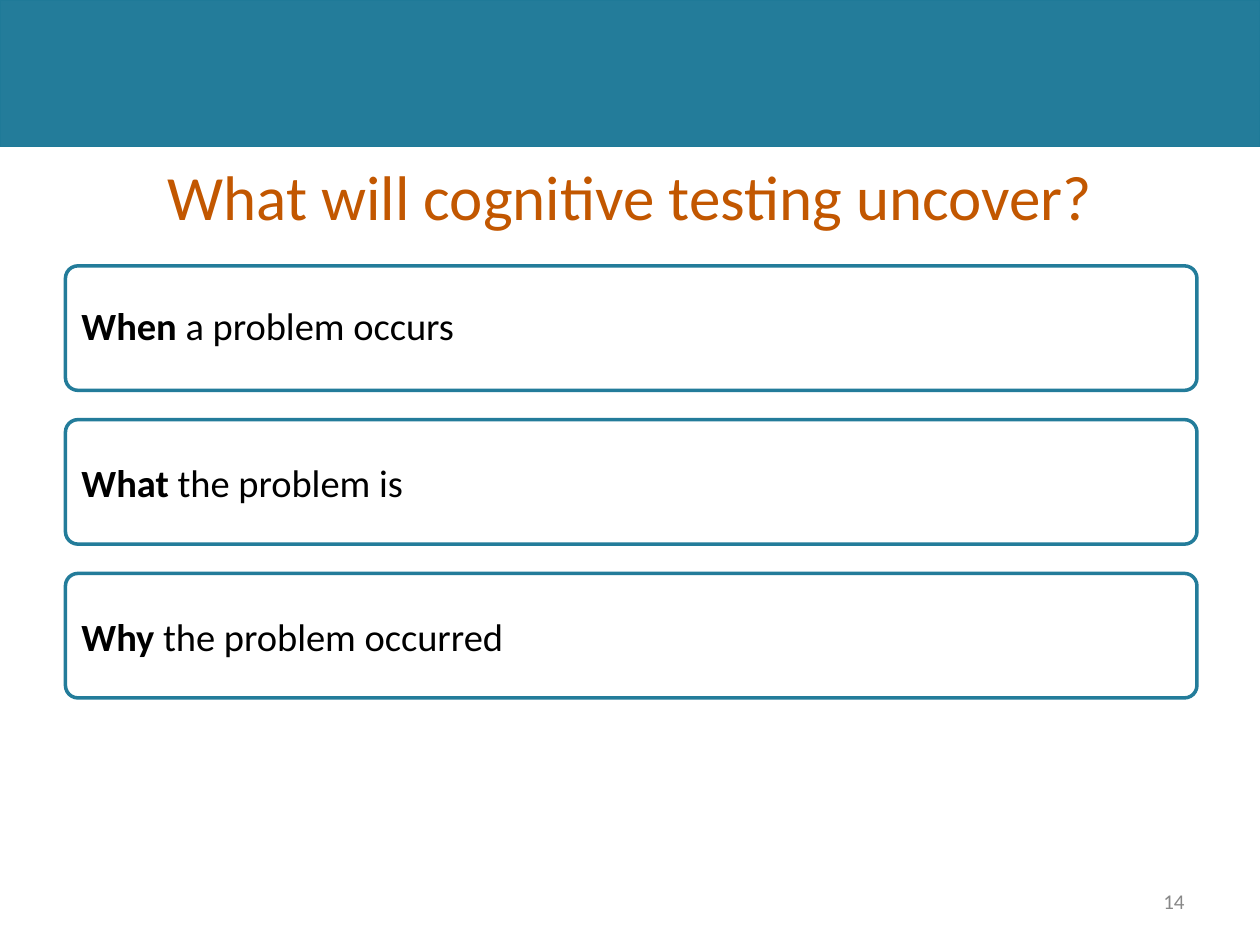
from dataclasses import dataclass

from pptx import Presentation
from pptx.dml.color import RGBColor as RGB
from pptx.enum.shapes import MSO_SHAPE as Shape
from pptx.enum.text import MSO_ANCHOR as Anchor, PP_ALIGN as Align
from pptx.util import Cm, Pt


@dataclass(frozen=True)
class Theme:
    """Colours, font and type sizes of the slide."""
    font: str = "Calibri"
    teal: RGB = RGB(0x23, 0x7C, 0x9A)
    teal_edge: RGB = RGB(0x1F, 0x7A, 0x98)
    orange: RGB = RGB(0xC2, 0x57, 0x00)
    grey: RGB = RGB(0x88, 0x88, 0x88)
    black: RGB = RGB(0, 0, 0)
    white: RGB = RGB(0xFF, 0xFF, 0xFF)
    title: int = 36
    body: int = 22
    number: int = 12


@dataclass(frozen=True)
class Box:
    """A region of the slide in centimetres."""
    x: float
    y: float
    w: float
    h: float

    def emu(self):
        """Return the position and size as lengths."""
        return Cm(self.x), Cm(self.y), Cm(self.w), Cm(self.h)


THEME = Theme()
CARDS = [
    ("When", " a problem occurs", 0.9),
    ("What", " the problem is", 1.0),
    ("Why", " the problem occurred", 1.0),
]


def style_run(r, size, color, bold=False):
    """Apply the theme font to a run."""
    r.font.name = THEME.font
    r.font.size = Pt(size)
    r.font.bold = bold
    r.font.color.rgb = color


def add_panel(s, box, kind, fill, line, width):
    """Add a flat filled shape with an outline."""
    sp = s.shapes.add_shape(kind, *box.emu())
    sp.shadow.inherit = False
    sp.fill.solid()
    sp.fill.fore_color.rgb = fill
    sp.line.color.rgb = line
    sp.line.width = Pt(width)
    return sp


def add_label(s, box, text, size, color, align):
    """Add a single-paragraph text box centred vertically."""
    tf = s.shapes.add_textbox(*box.emu()).text_frame
    tf.word_wrap = True
    tf.vertical_anchor = Anchor.MIDDLE
    p = tf.paragraphs[0]
    p.text = text
    p.alignment = align
    style_run(p.runs[0], size, color)


def add_card(s, box, lead, rest, spacing):
    """Add a rounded card whose text starts with a bold word."""
    sp = add_panel(s, box, Shape.ROUNDED_RECTANGLE, THEME.white, THEME.teal, 2)
    sp.adjustments[0] = 0.1
    tf = sp.text_frame
    tf.word_wrap = True
    tf.vertical_anchor = Anchor.MIDDLE
    p = tf.paragraphs[0]
    p.alignment = Align.LEFT
    p.line_spacing = spacing
    for text, bold in ((lead, True), (rest, False)):
        r = p.add_run()
        r.text = text
        style_run(r, THEME.body, THEME.black, bold)


def add_cards(s, box, cards, gap):
    """Stack equal cards down the box."""
    height = (box.h - gap * (len(cards) - 1)) / len(cards)
    for i, card in enumerate(cards):
        add_card(s, Box(box.x, box.y + i * (height + gap), box.w, height), *card)


def main():
    """Build the slide and save it."""
    prs = Presentation()
    prs.slide_width, prs.slide_height = Cm(25.4), Cm(19.05)
    s = prs.slides.add_slide(prs.slide_layouts[6])
    add_panel(s, Box(0, 0, 25.4, 2.95), Shape.RECTANGLE, THEME.teal, THEME.teal_edge, 0.75)
    add_label(s, Box(0.13, 3.02, 25.14, 1.83), "What will cognitive testing uncover?",
              THEME.title, THEME.orange, Align.CENTER)
    add_cards(s, Box(1.32, 5.36, 22.81, 8.71), CARDS, 0.59)
    add_label(s, Box(18.21, 17.65, 5.92, 1.02), "14", THEME.number, THEME.grey, Align.RIGHT)
    prs.save("out.pptx")


if __name__ == "__main__":
    main()
